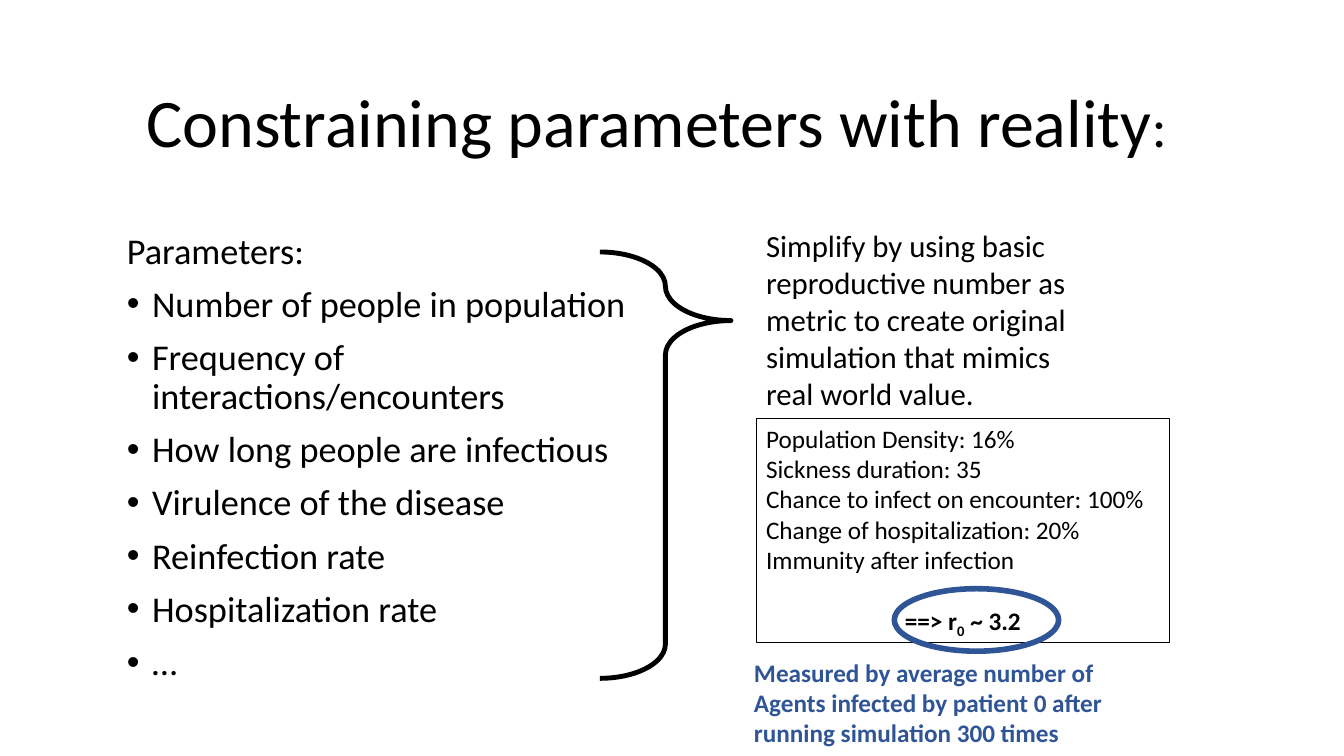
import pptx
import pptx.util
import pptx.dml.color
import pptx.enum.text
import pptx.enum.shapes
from lxml import etree

TITLE = [("Constraining parameters with reality", 48.6), (":", 39.6)]
HEAD = "Parameters:"
PARAMS = [
    "Number of people in population",
    "Frequency of interactions/encounters",
    "How long people are infectious",
    "Virulence of the disease",
    "Reinfection rate",
    "Hospitalization rate",
    "…",
]
CLAIM = ("Simplify by using basic reproductive number as metric "
         "to create original simulation that mimics real world value.")
VALUES = [
    "Population Density: 16%",
    "Sickness duration: 35",
    "Chance to infect on encounter: 100%",
    "Change of hospitalization: 20%",
    "Immunity after infection",
]
RESULT = [("==> r", 0), ("0", -25000), (" ~ 3.2", 0)]
METHOD = ("Measured by average number of Agents infected by patient 0 "
          "after running simulation 300 times")

THEME = {
    "font": "Calibri", "ink": "000000", "blue": "2F5597",
    "list": 25.9, "claim": 22, "note": 18,
    "brace": 3.5, "frame": 0.75, "ring": 4,
}
WIDE, HIGH = 13.33, 7.5
SPLIT = 7.5
PLACES = {
    "title": (1.35, 0.52, 11.23, 1.45),
    "list": (1.16, 2.26, 5.19, 4.76),
    "brace": (5.95, 2.5, 1.3, 4.23),
    "claim": (SPLIT, 2.2, 3.25, 1.95),
    "values": (SPLIT, 4.15, 4.1, 2.22),
    "method": (7.38, 6.47, 3.7, 1.01),
    "ring": (8.87, 5.84, 1.63, 0.62),
}
ALIGN = pptx.enum.text.PP_ALIGN
ANCHOR = pptx.enum.text.MSO_ANCHOR
SHAPE = pptx.enum.shapes.MSO_SHAPE
FRAME = {"word_wrap": True, "auto_size": pptx.enum.text.MSO_AUTO_SIZE.NONE}
LIST = {"line_spacing": 0.9, "space_before": pptx.util.Pt(10)}


def apply(thing, form):
    for name, value in form.items():
        setattr(thing, name, value)


def box(key):
    return [pptx.util.Inches(n) for n in PLACES[key]]


def color(key):
    return pptx.dml.color.RGBColor.from_string(THEME[key])


def write(para, text, size, ink="ink", bold=False):
    run = para.add_run()
    run.text = text
    apply(run.font, {"name": THEME["font"], "size": pptx.util.Pt(size), "bold": bold})
    run.font.color.rgb = color(ink)
    return run


def lines(frame, texts, size, form, **style):
    for i, text in enumerate(texts):
        para = frame.paragraphs[0] if i == 0 else frame.add_paragraph()
        apply(para, form)
        write(para, text, size, **style)


def bullet(para):
    props = para._p.get_or_add_pPr()
    dent = pptx.util.Inches(0.25)
    props.set("marL", str(dent))
    props.set("indent", str(-dent))
    for tag, name, value in (("a:buFont", "typeface", "Arial"), ("a:buChar", "char", "•")):
        etree.SubElement(props, pptx.oxml.ns.qn(tag)).set(name, value)


def text_box(slide, key):
    frame = slide.shapes.add_textbox(*box(key)).text_frame
    apply(frame, FRAME)
    return frame


def outline(slide, kind, key, ink, width):
    shape = slide.shapes.add_shape(kind, *box(key))
    shape.shadow.inherit = False
    shape.fill.background()
    shape.line.color.rgb = color(ink)
    shape.line.width = pptx.util.Pt(THEME[width])
    return shape


def main():
    deck = pptx.Presentation()
    apply(deck, {"slide_width": pptx.util.Inches(WIDE), "slide_height": pptx.util.Inches(HIGH)})
    slide = deck.slides.add_slide(deck.slide_layouts[5])

    title = slide.shapes.title
    apply(title, dict(zip(("left", "top", "width", "height"), box("title"))))
    apply(title.text_frame, {**FRAME, "vertical_anchor": ANCHOR.MIDDLE})
    para = title.text_frame.paragraphs[0]
    apply(para, {"alignment": ALIGN.LEFT, "line_spacing": 0.9})
    for text, size in TITLE:
        write(para, text, size)

    frame = text_box(slide, "list")
    lines(frame, [HEAD] + PARAMS, THEME["list"], LIST)
    for para in frame.paragraphs[1:]:
        bullet(para)

    brace = outline(slide, SHAPE.RIGHT_BRACE, "brace", "ink", "brace")
    for i, value in enumerate((0.397, 0.161)):
        brace.adjustments[i] = value

    lines(text_box(slide, "claim"), [CLAIM], THEME["claim"], {})

    frame = outline(slide, SHAPE.RECTANGLE, "values", "ink", "frame").text_frame
    apply(frame, {**FRAME, "vertical_anchor": ANCHOR.TOP})
    lines(frame, VALUES, THEME["note"], {"alignment": ALIGN.LEFT})
    para = frame.add_paragraph()
    apply(para, {"alignment": ALIGN.CENTER, "space_before": pptx.util.Pt(22)})
    for text, base in RESULT:
        run = write(para, text, THEME["note"], bold=True)
        run._r.get_or_add_rPr().set("baseline", str(base))

    lines(text_box(slide, "method"), [METHOD], THEME["note"], {}, ink="blue", bold=True)
    outline(slide, SHAPE.OVAL, "ring", "blue", "ring")
    deck.save("out.pptx")


if __name__ == "__main__":
    main()
